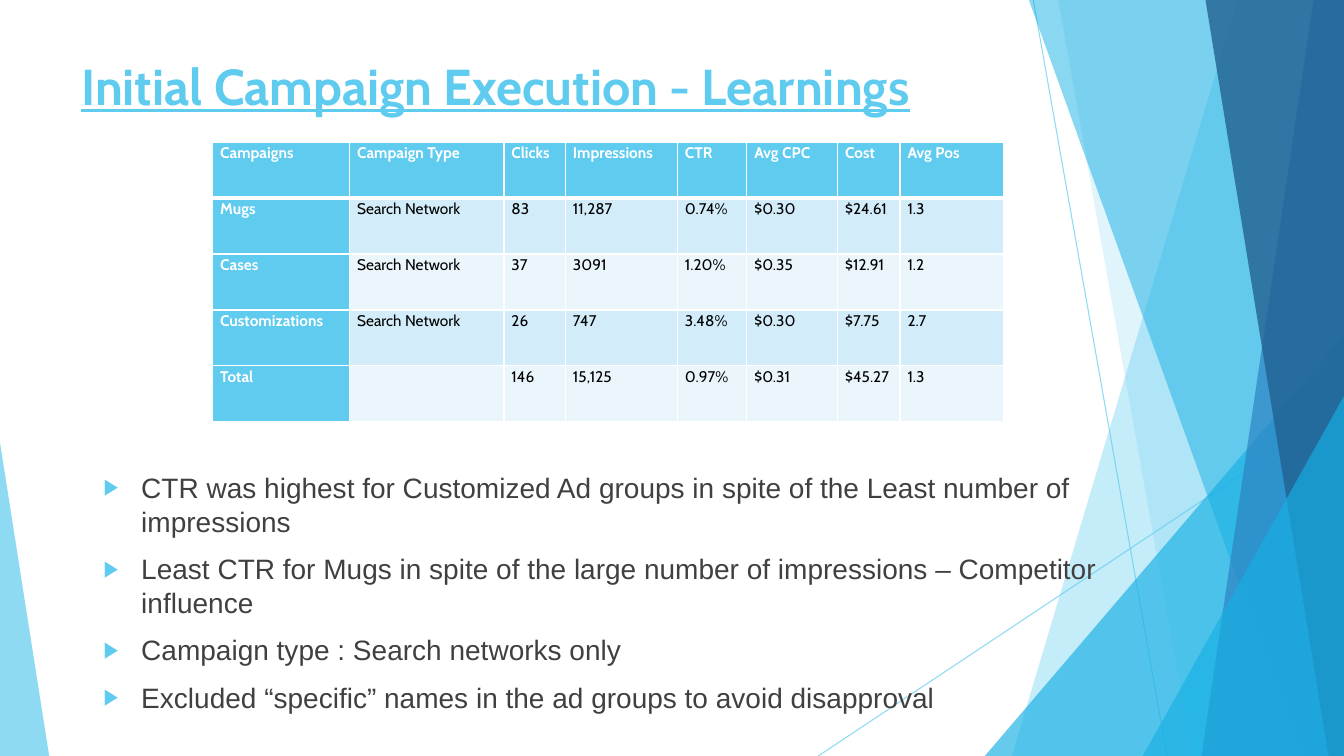
from dataclasses import dataclass

from lxml.etree import SubElement as Sub
from pptx import Presentation
from pptx.dml.color import RGBColor as Rgb
from pptx.enum.shapes import MSO_CONNECTOR as Link, MSO_SHAPE as Kind
from pptx.oxml.ns import qn
from pptx.util import Cm, Pt

HUES = {
    "sky": "5FCBEF", "cyan": "17B0E4", "blue": "2E83C3", "navy": "226292",
    "white": "FFFFFF", "black": "000000", "gray": "404040",
    "band": "D2ECF9", "pale": "EAF6FC",
}
WIDE, HIGH = 33.87, 19.05


@dataclass
class Ray:
    start: tuple[float, float]
    end: tuple[float, float]


@dataclass
class Shard:
    """Slanted left edge, running to the right side of the slide."""
    top: float
    foot: float
    hue: str
    alpha: int


@dataclass
class Wedge:
    left: float
    top: float
    width: float
    apex: float
    hue: str
    alpha: int


RAYS = [Ray((26.04, 0), (29.41, HIGH)), Ray((WIDE, 10.24), (20.62, HIGH))]
DECOR = [
    Shard(31.19, 25.5, "sky", 36),
    Shard(26.67, 30.05, "sky", 20),
    Wedge(24.82, 8.46, 9.05, 1, "cyan", 66),
    Shard(25.93, 32.79, "cyan", 50),
    Shard(33.1, 30.28, "blue", 70),
    Shard(30.38, 33.48, "navy", 80),
    Wedge(28.8, 9.98, 5.07, 1, "cyan", 66),
    Wedge(0, 11.15, 1.24, 0, "sky", 70),
]
TITLE = "Initial Campaign Execution - Learnings"
POINTS = [
    "CTR was highest for Customized Ad groups in spite of the Least number of impressions",
    "Least CTR for Mugs in spite of the large number of impressions – Competitor influence",
    "Campaign type : Search networks only",
    "Excluded “specific” names in the ad groups to avoid disapproval",
]
COLS = [3.45, 3.89, 1.55, 2.82, 1.75, 2.29, 1.57, 2.62]
ROW = 1.41
CELLS = [
    ["Campaigns", "Campaign Type", "Clicks", "Impressions", "CTR", "Avg CPC", "Cost", "Avg Pos"],
    ["Mugs", "Search Network", "83", "11,287", "0.74%", "$0.30", "$24.61", "1.3"],
    ["Cases", "Search Network", "37", "3091", "1.20%", "$0.35", "$12.91", "1.2"],
    ["Customizations", "Search Network", "26", "747", "3.48%", "$0.30", "$7.75", "2.7"],
    ["Total", "", "146", "15,125", "0.97%", "$0.31", "$45.27", "1.3"],
]


def color(name: str) -> Rgb:
    return Rgb.from_string(HUES[name])


def fade(node, alpha: int) -> None:
    """Set the opacity, in percent, of the first colour below node."""
    tone = next(node.iter(qn("a:srgbClr")))
    Sub(tone, qn("a:alpha"), val=str(alpha * 1000))


def paint(shape, hue: str, alpha: int) -> None:
    shape.shadow.inherit = False
    shape.fill.solid()
    shape.fill.fore_color.rgb = color(hue)
    shape.line.fill.background()
    fade(shape.fill._xPr, alpha)


def style(par, font: str, size: int, hue: str, bold: bool = False, under: bool = False) -> None:
    for run in par.runs:
        face = run.font
        face.name, face.size, face.bold = font, Pt(size), bold
        face.underline = under
        face.color.rgb = color(hue)


def add_ray(slide, ray: Ray) -> None:
    line = slide.shapes.add_connector(
        Link.STRAIGHT, *(Cm(n) for n in ray.start + ray.end))
    line.line.color.rgb = color("sky")
    line.line.width = Pt(0.75)
    props = line._element.spPr
    fade(props, 70)
    Sub(props, qn("a:effectLst"))


def add_shard(slide, part: Shard) -> None:
    pen = slide.shapes.build_freeform(Cm(part.top), Cm(0))
    pen.add_line_segments([(Cm(WIDE), Cm(0)), (Cm(WIDE), Cm(HIGH)), (Cm(part.foot), Cm(HIGH))])
    paint(pen.convert_to_shape(), part.hue, part.alpha)


def add_wedge(slide, part: Wedge) -> None:
    shape = slide.shapes.add_shape(
        Kind.ISOSCELES_TRIANGLE, Cm(part.left), Cm(part.top), Cm(part.width), Cm(HIGH - part.top))
    shape.adjustments[0] = part.apex
    paint(shape, part.hue, part.alpha)


def add_box(slide, left: float, top: float, width: float, height: float, text: str):
    frame = slide.shapes.add_textbox(Cm(left), Cm(top), Cm(width), Cm(height)).text_frame
    frame.word_wrap = True
    frame.text = text
    return frame


def add_mark(par) -> None:
    """Give a paragraph a hanging triangle bullet."""
    props = par._p.get_or_add_pPr()
    props.set("marL", str(Cm(0.95)))
    props.set("indent", str(-Cm(0.95)))
    Sub(Sub(props, qn("a:buClr")), qn("a:srgbClr"), val=HUES["sky"])
    Sub(props, qn("a:buSzPct"), val="80000")
    Sub(props, qn("a:buFont"), typeface="Arial")
    Sub(props, qn("a:buChar"), char="▶")


def add_edge(cell, side: str, width: float) -> None:
    props = cell._tc.get_or_add_tcPr()
    line = Sub(props, qn(f"a:ln{side}"), w=str(Pt(width)))
    Sub(Sub(line, qn("a:solidFill")), qn("a:srgbClr"), val=HUES["white"])


def fill_cell(cell, text: str, row: int, col: int) -> None:
    head = row == 0 or col == 0
    cell.margin_left = cell.margin_right = Cm(0.19)
    cell.margin_top = cell.margin_bottom = Cm(0)
    # Thick rule between the header and the first data row
    for side in "LRTB":
        thick = (row, side) in ((0, "B"), (1, "T"))
        add_edge(cell, side, 3 if thick else 1)
    cell.fill.solid()
    cell.fill.fore_color.rgb = color("sky" if head else "band" if row % 2 else "pale")
    cell.text_frame.text = text
    par = cell.text_frame.paragraphs[0]
    par.line_spacing = 1.07
    style(par, "Cabin", 11, "white" if head else "black", head)


def add_grid(slide) -> None:
    grid = slide.shapes.add_table(
        len(CELLS), len(COLS), Cm(5.36), Cm(3.58), Cm(sum(COLS)), Cm(ROW * len(CELLS))).table
    for col, width in zip(grid.columns, COLS):
        col.width = Cm(width)
    for r, texts in enumerate(CELLS):
        grid.rows[r].height = Cm(ROW)
        for c, text in enumerate(texts):
            fill_cell(grid.cell(r, c), text, r, c)


def main() -> None:
    deck = Presentation()
    deck.slide_width, deck.slide_height = Cm(WIDE), Cm(HIGH)
    slide = deck.slides.add_slide(deck.slide_layouts[6])

    # Backdrop
    for ray in RAYS:
        add_ray(slide, ray)
    for part in DECOR:
        draw = add_shard if isinstance(part, Shard) else add_wedge
        draw(slide, part)

    # Title
    title = add_box(slide, 1.8, 1.27, 27.84, 2.26, TITLE)
    style(title.paragraphs[0], "Cabin", 36, "sky", True, True)

    # Findings
    body = add_box(slide, 2.36, 11.73, 26.19, 5.87, "\n".join(POINTS))
    for par in body.paragraphs:
        par.space_before = Pt(10)
        add_mark(par)
        style(par, "Arial", 20, "gray")

    # Campaign figures
    add_grid(slide)
    deck.save("out.pptx")


if __name__ == "__main__":
    main()
